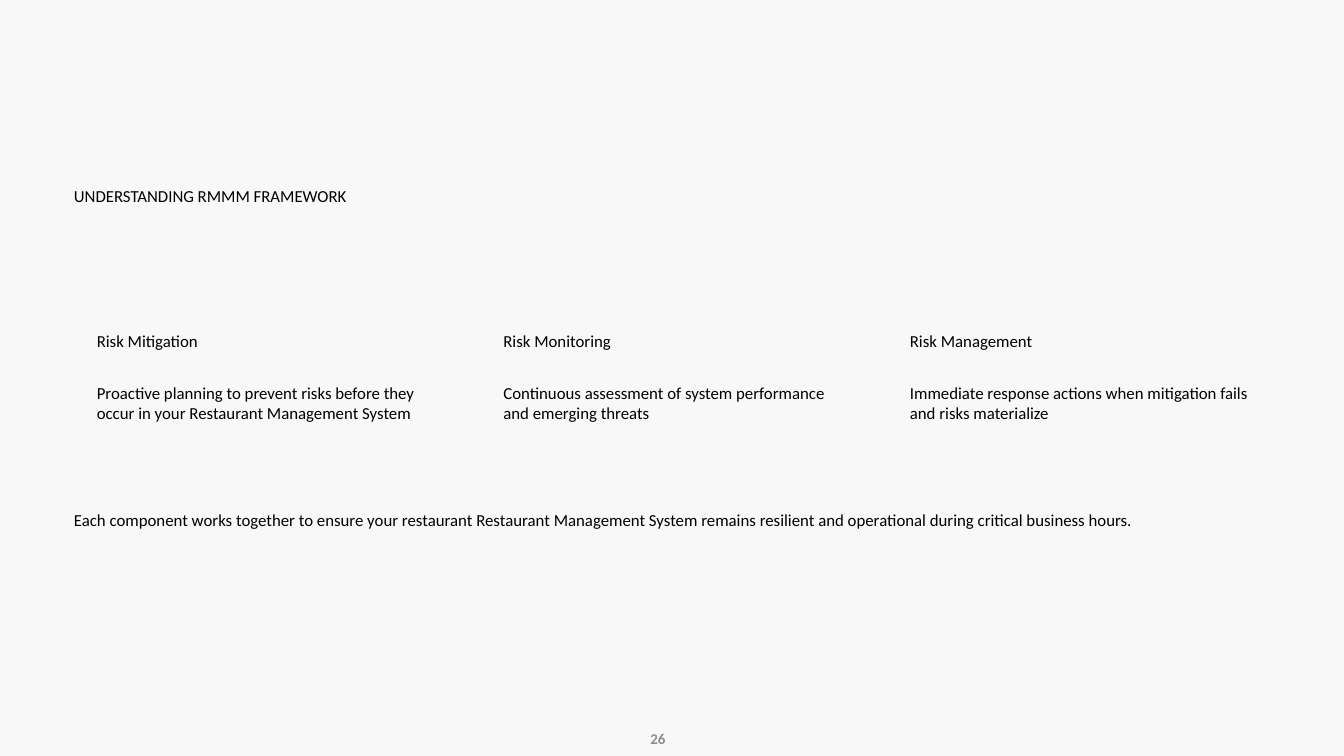
from lxml import etree
from pptx import Presentation
from pptx.dml.color import RGBColor
from pptx.enum.shapes import MSO_SHAPE
from pptx.enum.text import MSO_ANCHOR, MSO_AUTO_SIZE, PP_ALIGN
from pptx.oxml.ns import qn
from pptx.util import Inches, Pt

RECT, ROUNDED = MSO_SHAPE.RECTANGLE, MSO_SHAPE.ROUNDED_RECTANGLE
TOP, MIDDLE = MSO_ANCHOR.TOP, MSO_ANCHOR.MIDDLE
LEFT, RIGHT = PP_ALIGN.LEFT, PP_ALIGN.RIGHT
NO_FIT = MSO_AUTO_SIZE.NONE

COLORS = {"paper": "F8F8F8", "ink": "000000", "muted": "8C8C8C"}
FONT = "Calibri"
COLS, ROWS = 20, 11.25  # square grid cells over the whole slide
MARGIN = 1.1
CARD_W, CARD_H, CARD_TOP = 5.74, 2.66, 4.61
CARD_PITCH, CARD_PAD = 6.05, 0.34

CARDS = [
    ("Risk Mitigation",
     "Proactive planning to prevent risks before they occur in your Restaurant Management System"),
    ("Risk Monitoring",
     "Continuous assessment of system performance and emerging threats"),
    ("Risk Management",
     "Immediate response actions when mitigation fails and risks materialize"),
]


class Deck:
    """Holds the style and the current slide; positions are columns and rows."""

    def __init__(self, prs):
        self.cell = prs.slide_width / COLS
        self.slide = prs.slides.add_slide(prs.slide_layouts[5])
        self.slide.background.fill.solid()
        self.slide.background.fill.fore_color.rgb = self.color("paper")

    def color(self, name):
        return RGBColor.from_string(COLORS[name])

    def place(self, *box):
        return [round(v * self.cell) for v in box]

    def fill_text(self, sp, text, size=18, color="ink", bold=False,
                  align=LEFT, anchor=TOP, inset=0):
        tf = sp.text_frame
        tf.word_wrap = True
        tf.auto_size = NO_FIT
        tf.vertical_anchor = anchor
        tf.margin_left = tf.margin_right = Inches(inset)
        tf.margin_top = tf.margin_bottom = Inches(inset / 2)
        p = tf.paragraphs[0]
        p.alignment = align
        r = p.add_run()
        r.text = text
        r.font.name, r.font.size, r.font.bold = FONT, Pt(size), bold
        r.font.color.rgb = self.color(color)

    def title(self, text, *box):
        sp = self.slide.shapes.title
        sp.left, sp.top, sp.width, sp.height = self.place(*box)
        self.fill_text(sp, text)

    def text(self, text, *box, **style):
        sp = self.slide.shapes.add_textbox(*self.place(*box))
        self.fill_text(sp, text, **style)

    def panel(self, kind, *box, line=0, radius=None, alpha=None):
        sp = self.slide.shapes.add_shape(kind, *self.place(*box))
        sp.shadow.inherit = False
        sp.fill.solid()
        sp.fill.fore_color.rgb = self.color("paper")
        if line:
            sp.line.color.rgb = self.color("paper")
            sp.line.width = Pt(line)
        else:
            sp.line.fill.background()
        if radius:
            sp.adjustments[0] = radius
        if alpha:
            clr = sp._element.spPr.find(qn("a:solidFill"))[0]
            etree.SubElement(clr, qn("a:alpha"), val=str(alpha * 1000))
        return sp


def main():
    prs = Presentation()
    prs.slide_width, prs.slide_height = Inches(COLS), Inches(ROWS)
    s = Deck(prs)

    # Backdrop, sent behind the title
    backdrop = s.panel(RECT, 0, 0, COLS, ROWS, alpha=90)
    s.slide.shapes.title._element.addprevious(backdrop._element)
    s.title("UNDERSTANDING RMMM FRAMEWORK", MARGIN, 2.76, 15.81, 1.03)

    # Three cards
    for i, (heading, body) in enumerate(CARDS):
        x = MARGIN + i * CARD_PITCH
        s.panel(ROUNDED, x, CARD_TOP, CARD_W, CARD_H, line=2.4, radius=0.05)
        s.text(heading, x + CARD_PAD, 4.92, 4.46, 0.54)
        s.text(body, x + CARD_PAD, 5.69, 5.05, 0.78)

    # Closing line and page number
    s.text("Each component works together to ensure your restaurant Restaurant "
           "Management System remains resilient and operational during critical "
           "business hours.", MARGIN, 7.59, 17.83, 0.38)
    s.text("26", 7.67, 10.79, 2.33, 0.4, size=16, color="muted", bold=True,
           align=RIGHT, anchor=MIDDLE, inset=0.1)

    prs.save("out.pptx")


if __name__ == "__main__":
    main()
